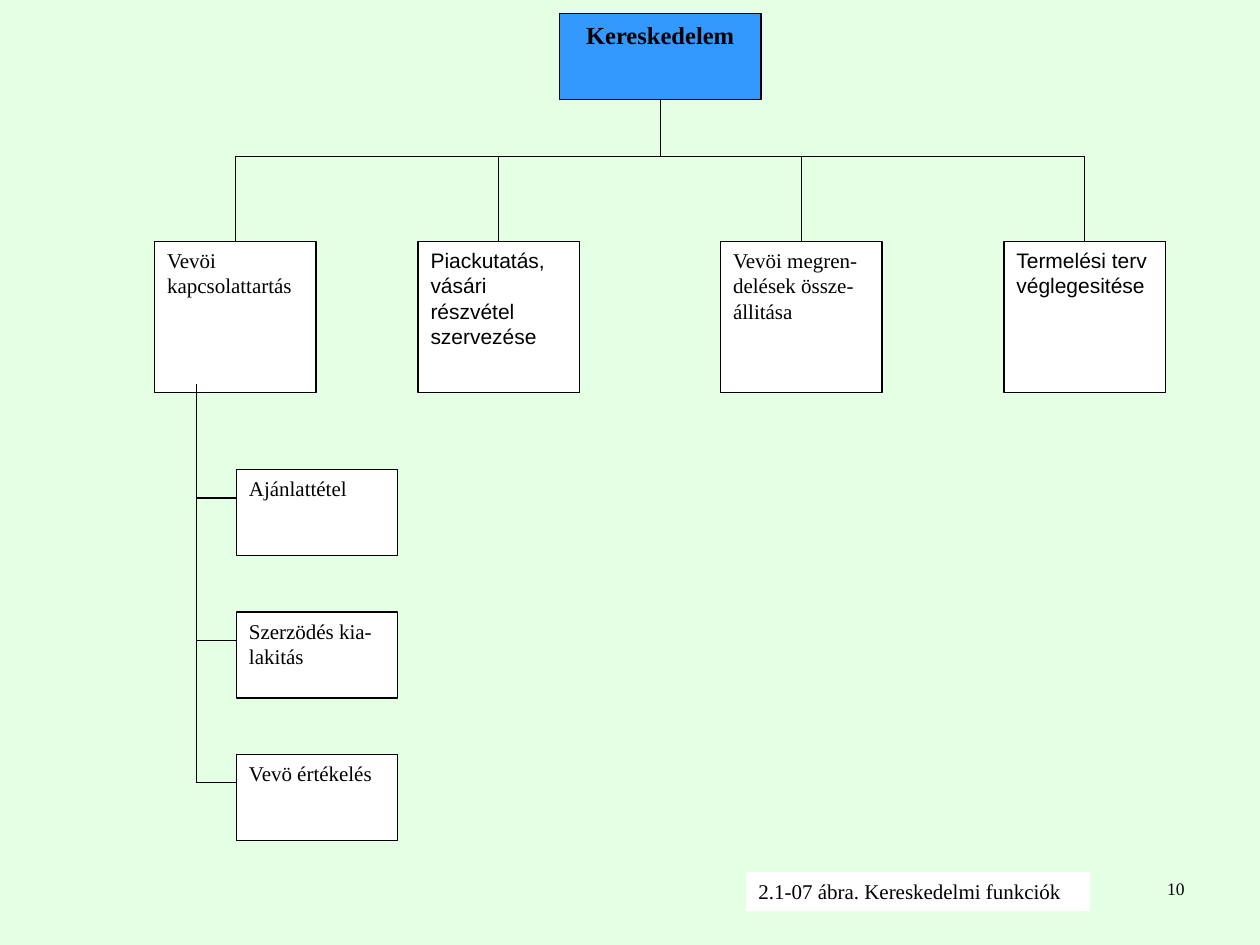
from lxml.etree import SubElement
from pptx import Presentation
from pptx.dml.color import RGBColor
from pptx.enum.shapes import MSO_CONNECTOR, MSO_SHAPE as SHAPE
from pptx.enum.text import MSO_ANCHOR, PP_ALIGN as ALIGN
from pptx.oxml.ns import qn
from pptx.util import Cm, Pt

COLORS = {"background": "E5FFE5", "root": "3399FF", "box": "FFFFFF", "ink": "000000"}
SERIF, SANS = "Times New Roman", "Arial"
FUNCTIONS = [
    (0, "Vevöi kapcsolattartás", SERIF),
    (5.31, "Piackutatás, vásári részvétel szervezése", SANS),
    (11.41, "Vevöi megren- delések össze- állitása", SERIF),
    (17.12, "Termelési terv véglegesitése", SANS),
]
TASKS = ["Ajánlattétel", "Szerzödés kia- lakitás", "Vevö értékelés"]
BOX_WIDTH = 3.25


def color(name):
    """Return the named colour."""
    return RGBColor.from_string(COLORS[name])


def write(shape, text, font=SERIF, size=12, bold=False, align=ALIGN.LEFT):
    """Write one run of wrapped text at the top of a shape."""
    frame = shape.text_frame
    frame.word_wrap = True
    frame.vertical_anchor = MSO_ANCHOR.TOP
    paragraph = frame.paragraphs[0]
    paragraph.alignment = align
    run = paragraph.add_run()
    run.text = text
    run.font.name = font
    run.font.size = Pt(size)
    run.font.bold = bold
    run.font.color.rgb = color("ink")


def add_box(slide, box, fill="box", kind=SHAPE.FLOWCHART_PROCESS, outlined=True):
    """Add a filled box, with a thin outline if asked."""
    shape = slide.shapes.add_shape(kind, *map(Cm, box))
    shape.shadow.inherit = False
    shape.fill.solid()
    shape.fill.fore_color.rgb = color(fill)
    if outlined:
        shape.line.color.rgb = color("ink")
        shape.line.width = Pt(0.75)
    else:
        shape.line.fill.background()
    return shape


def add_line(slide, *ends):
    """Draw a thin straight line between two points."""
    line = slide.shapes.add_connector(MSO_CONNECTOR.STRAIGHT, *map(Cm, ends))
    line.line.color.rgb = color("ink")
    line.line.width = Pt(0.75)
    SubElement(line._element.spPr, qn("a:effectLst"))


def add_root(slide, left, top, width, height, bus):
    """Add the head box and its stem down to the bus."""
    shape = add_box(slide, (left, top, width, height), "root")
    write(shape, "Kereskedelem", size=14, bold=True, align=ALIGN.CENTER)
    middle = left + width / 2
    add_line(slide, middle, top + height, middle, bus)


def add_functions(slide, left, top, height, bus):
    """Add the row of function boxes hanging from the bus."""
    centers = [left + offset + BOX_WIDTH / 2 for offset, _, _ in FUNCTIONS]
    add_line(slide, centers[0], bus, centers[-1], bus)
    for center, (offset, text, font) in zip(centers, FUNCTIONS):
        write(add_box(slide, (left + offset, top, BOX_WIDTH, height)), text, font)
        add_line(slide, center, bus, center, top)


def add_tasks(slide, left, top, height, trunk_left, trunk_top):
    """Add the column of task boxes branching from a trunk."""
    pitch, drop = 2.87, 0.57
    for index, text in enumerate(TASKS):
        box_top = top + index * pitch
        write(add_box(slide, (left, box_top, BOX_WIDTH, height)), text)
        add_line(slide, trunk_left, box_top + drop, left, box_top + drop)
    trunk_bottom = top + (len(TASKS) - 1) * pitch + drop
    add_line(slide, trunk_left, trunk_top, trunk_left, trunk_bottom)


def add_footer(slide, top):
    """Add the figure caption and the page number."""
    caption = add_box(slide, (15.04, top, 6.93, 0.79), kind=SHAPE.RECTANGLE, outlined=False)
    write(caption, "2.1-07 ábra. Kereskedelmi funkciók")
    number = slide.shapes.add_textbox(Cm(18.21), Cm(top), Cm(5.92), Cm(1.27))
    write(number, "10", size=10, align=ALIGN.RIGHT)


def main():
    """Build and save the slide."""
    presentation = Presentation()
    presentation.slide_width, presentation.slide_height = Cm(25.4), Cm(19.05)
    slide = presentation.slides.add_slide(presentation.slide_layouts[6])
    slide.background.fill.solid()
    slide.background.fill.fore_color.rgb = color("background")
    bus = 3.15
    add_root(slide, 11.28, 0.28, 4.06, 1.73, bus)
    add_functions(slide, 3.12, 4.87, 3.05, bus)
    add_tasks(slide, 4.77, 9.47, 1.73, 3.96, 7.75)
    add_footer(slide, 17.58)
    presentation.save("out.pptx")


if __name__ == "__main__":
    main()
